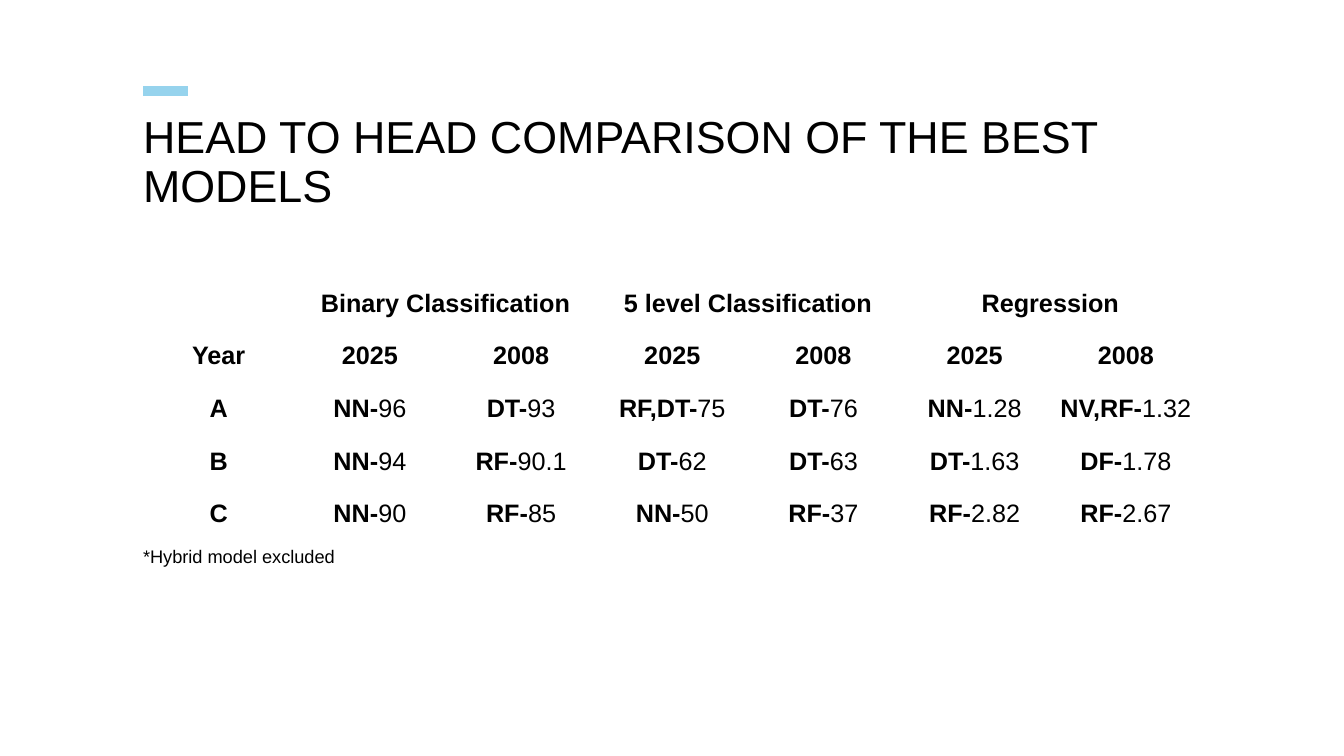
"""Build the slide comparing the best models head to head."""
import pptx
import pptx.dml.color
import pptx.enum.shapes
import pptx.enum.text
import pptx.oxml
import pptx.util

Pt = pptx.util.Pt
LEFT, WIDTH = Pt(102.2), Pt(756)
COLUMNS, ROW_HEIGHT = 7, Pt(37.5)
ROWS = [
    ["", "Binary Classification", "", "5 level Classification", "", "Regression", ""],
    ["Year"] + ["2025", "2008"] * 3,
    ["A", "NN-96", "DT-93", "RF,DT-75", "DT-76", "NN-1.28", "NV,RF-1.32"],
    ["B", "NN-94", "RF-90.1", "DT-62", "DT-63", "DT-1.63", "DF-1.78"],
    ["C", "NN-90", "RF-85", "NN-50", "RF-37", "RF-2.82", "RF-2.67"],
]


def color(value):
    return pptx.dml.color.RGBColor.from_string(value)


def add_run(p, text, size, bold=False):
    r = p.add_run()
    r.text = text
    for name, value in {"name": "Arial", "size": Pt(size), "bold": bold}.items():
        setattr(r.font, name, value)
    r.font.color.rgb = color("000000")


prs = pptx.Presentation()
prs.slide_width, prs.slide_height = Pt(960), Pt(540)
s = prs.slides.add_slide(prs.slide_layouts[5])

accent = s.shapes.add_connector(
    pptx.enum.shapes.MSO_CONNECTOR.STRAIGHT, LEFT, Pt(65), LEFT + Pt(32.4), Pt(65))
accent.line.color.rgb = color("96D3ED")
accent.line.width = Pt(7)
accent._element.spPr.append(pptx.oxml.parse_xml(
    '<a:effectLst xmlns:a="http://schemas.openxmlformats.org/drawingml/2006/main"/>'))

title = s.shapes.title
title.left, title.top, title.width, title.height = LEFT, Pt(82.1), WIDTH, Pt(72)
note = s.shapes.add_textbox(LEFT, Pt(391.5), WIDTH, Pt(16))
frame_format = {
    "margin_left": 0, "margin_top": 0, "margin_right": 0, "margin_bottom": 0,
    "word_wrap": True,
    "auto_size": pptx.enum.text.MSO_AUTO_SIZE.NONE,
    "vertical_anchor": pptx.enum.text.MSO_ANCHOR.TOP,
}
for sp, text, size in [
    (title, "HEAD TO HEAD COMPARISON OF THE BEST MODELS", 32),
    (note, "*Hybrid model excluded", 13),
]:
    tf = sp.text_frame
    for name, value in frame_format.items():
        setattr(tf, name, value)
    p = tf.paragraphs[0]
    p.alignment = pptx.enum.text.PP_ALIGN.LEFT
    p.line_spacing = 0.9
    add_run(p, text, size)

table = s.shapes.add_table(
    len(ROWS), COLUMNS, LEFT, Pt(196.5), WIDTH, ROW_HEIGHT * len(ROWS)).table
table.first_row = table.horz_banding = False
cell_format = {
    "margin_left": Pt(7.2), "margin_top": Pt(7.2),
    "margin_right": Pt(7.2), "margin_bottom": Pt(7.2),
}
for i, row in enumerate(ROWS):
    for j, text in enumerate(row):
        cell = table.cell(i, j)
        cell.fill.background()
        for name, value in cell_format.items():
            setattr(cell, name, value)
        p = cell.text_frame.paragraphs[0]
        p.alignment = pptx.enum.text.PP_ALIGN.CENTER
        p.line_spacing = 1.15
        model, dash, score = text.partition("-")
        if model:
            add_run(p, model + dash, 18, bold=True)
        if score:
            add_run(p, score, 18)
for j in range(1, COLUMNS, 2):
    table.cell(0, j).merge(table.cell(0, j + 1))

prs.save("out.pptx")
